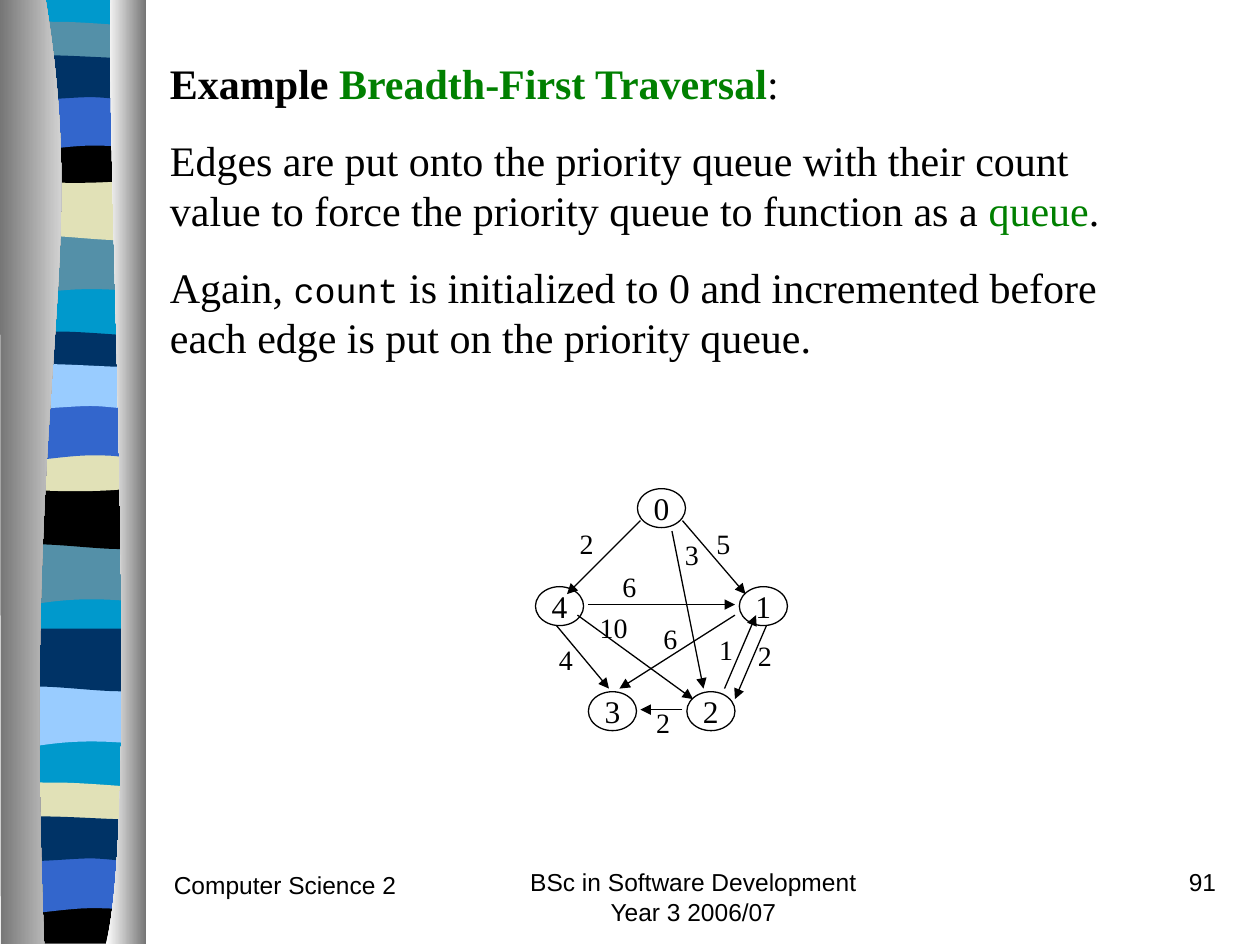
from dataclasses import dataclass
from pptx import Presentation
from pptx.dml.color import RGBColor
from pptx.enum.shapes import MSO_CONNECTOR, MSO_SHAPE
from pptx.enum.text import MSO_ANCHOR, MSO_AUTO_SIZE, PP_ALIGN
from pptx.oxml.ns import qn
from pptx.util import Pt
from lxml.etree import SubElement

BLACK = RGBColor(0x00, 0x00, 0x00)
GREEN = RGBColor(0x00, 0x80, 0x00)
CYAN = RGBColor(0x00, 0x99, 0xCC)
TEAL = RGBColor(0x54, 0x90, 0xA8)
CREAM = RGBColor(0xE1, 0xE1, 0xB7)
BLUE = RGBColor(0x33, 0x66, 0xCC)
NAVY = RGBColor(0x00, 0x33, 0x66)
SKY = RGBColor(0x99, 0xCC, 0xFF)
WHITE = RGBColor(0xFF, 0xFF, 0xFF)
GREY = RGBColor(0x76, 0x76, 0x76)

SERIF, SANS, MONO = "Times New Roman", "Arial", "Courier New"


@dataclass
class Band:
    form: list
    top: float
    color: RGBColor


@dataclass
class Run:
    text: str
    style: dict


@dataclass
class Node:
    name: str
    left: float
    top: float


@dataclass
class Edge:
    start: tuple
    end: tuple
    count: str
    spot: tuple  # left and top of the label


def style(size: float, name: str = SERIF, color: RGBColor = BLACK, bold: bool = False) -> dict:
    return {"size": Pt(size), "name": name, "bold": bold, "color": color}


def draw_form(shapes, form: list, left: float = 0, top: float = 0):
    """Parts of one point are corners, parts of three points are curves."""
    points = [(Pt(left + x), Pt(top + y)) for part in form for x, y in part]
    build = shapes.build_freeform(*points[0], scale=1)
    build.add_line_segments(points[1:], close=True)
    shape = build.convert_to_shape()
    shape.shadow.inherit = False
    shape.line.fill.background()
    lines = iter(list(shape._element.iter(qn("a:lnTo"))))
    for part in form[1:]:
        first = next(lines)
        if len(part) == 3:
            first.tag = qn("a:cubicBezTo")
            for _ in range(2):
                extra = next(lines)
                first.append(extra[0])
                extra.getparent().remove(extra)
    return shape


def draw_band(shapes, band: Band) -> None:
    fill = draw_form(shapes, band.form, 4, band.top).fill
    fill.solid()
    fill.fore_color.rgb = band.color


def draw_tube(shapes, form: list, colors: tuple) -> None:
    fill = draw_form(shapes, form).fill
    fill.gradient()
    fill.gradient_angle = 0
    for stop, color in zip(fill.gradient_stops, colors):
        stop.color.rgb = color


def write(frame, paras: list, align=PP_ALIGN.LEFT, gap: float = 0) -> None:
    for i, runs in enumerate(paras):
        para = frame.add_paragraph() if i else frame.paragraphs[0]
        para.alignment = align
        para.space_before = Pt(gap if i else 0)
        for item in runs:
            run = para.add_run()
            run.text = item.text
            for key, value in item.style.items():
                if key == "color":
                    run.font.color.rgb = value
                else:
                    setattr(run.font, key, value)


def draw_text(shapes, box: tuple, paras: list, align=PP_ALIGN.LEFT, gap: float = 0):
    frame = shapes.add_textbox(*map(Pt, box)).text_frame
    frame.word_wrap = True
    write(frame, paras, align, gap)
    return frame


def draw_node(shapes, node: Node) -> None:
    shape = shapes.add_shape(MSO_SHAPE.OVAL, Pt(node.left), Pt(node.top), Pt(27.5), Pt(22.25))
    shape.shadow.inherit = False
    shape.fill.background()
    shape.line.color.rgb = BLACK
    shape.line.width = Pt(0.75)
    frame = shape.text_frame
    frame.word_wrap = False
    frame.vertical_anchor = MSO_ANCHOR.MIDDLE
    write(frame, [[Run(node.name, style(18))]], PP_ALIGN.CENTER)


def draw_edge(shapes, edge: Edge) -> None:
    line = shapes.add_connector(MSO_CONNECTOR.STRAIGHT, *map(Pt, edge.start + edge.end))
    line.line.color.rgb = BLACK
    line.line.width = Pt(0.75)
    SubElement(line.line._get_or_add_ln(), qn("a:tailEnd"), type="triangle")
    SubElement(line._element.spPr, qn("a:effectLst"))
    wide = 14.25 + 8 * len(edge.count)
    frame = draw_text(shapes, (*edge.spot, wide, 26.5), [[Run(edge.count, style(16))]], PP_ALIGN.CENTER)
    frame.word_wrap = False
    frame.auto_size = MSO_AUTO_SIZE.SHAPE_TO_FIT_TEXT
    frame.vertical_anchor = MSO_ANCHOR.MIDDLE


# Outlines of the bands
FALL = [[(78, 0)], [(78, 34)], [(24, 28), (13, 39.5), (0, 34)], [(0, 0)]]
DIP = [[(78, 0)], [(78, 34)], [(65, 39.5), (24, 30), (0, 34)], [(0, 0)]]
THIN = [[(78, 3.5)], [(78, 21)], [(65, 24), (13, 24), (0, 21)], [(0, 3.5)],
        [(5, 0), (16.5, 0.7), (29.5, 0.7)], [(42.5, 0.7), (68, 3), (78, 3.5)]]
BOWL = [[(78, 0)], [(78, 23.5)], [(65, 27.5), (13, 27.5), (0, 23.5)], [(0, 0)],
        [(47.5, 3.6), (61, 0), (78, 0)]]
BASE = [[(78, 0)], [(78, 26.5)], [(0, 26.5)], [(0, 0)], [(47.5, 3.6), (61, 0), (78, 0)]]
ARCH = [[(78, 0)], [(78, 34)], [(65.5, 30), (60.5, 30), (47.5, 30)],
        [(34.5, 30), (11.5, 34), (0, 34)], [(0, 0)]]
WIDE = [[(78, 3.6)], [(78, 26)], [(73, 29.5), (60.5, 26), (47.5, 26)],
        [(34.5, 26), (8, 29.5), (0, 26)], [(0, 3.6)],
        [(11, 0), (52.5, 3.6), (65.5, 3.6)], [(78.5, 3.6), (75, 3.6), (78, 3.6)]]
BACK = [[(78, 0)], [(78, 538.5)], [(0, 538.5)], [(0, 0)]]

BANDS = [
    Band(BACK, -0.5, CYAN),
    Band(FALL, 133, TEAL), Band(DIP, 101.5, CREAM), Band(THIN, 11.75, TEAL),
    Band(BOWL, 78, BLACK), Band(ARCH, 53.25, BLUE), Band(WIDE, 29.5, NAVY),
    Band(FALL, 310.25, TEAL), Band(DIP, 278, BLACK), Band(THIN, 188.75, NAVY),
    Band(BOWL, 254.25, CREAM), Band(ARCH, 230.25, BLUE), Band(WIDE, 206, SKY),
    Band(FALL, 391.5, SKY), Band(DIP, 359.25, NAVY), Band(THIN, 446.5, CREAM),
    Band(BASE, 512.75, BLACK), Band(ARCH, 489, BLUE), Band(WIDE, 464.5, NAVY),
]
LEFT_TUBE = [[(26, -0.5)], [(52, 155.5), (12.25, 213), (25.25, 539.5)], [(0.5, 539.5)], [(0, -0.5)]]
RIGHT_TUBE = [[(63.25, -0.5)], [(60.5, 90), (80.5, 465), (60.5, 539.5)], [(83.5, 539.5)], [(83.5, 0)]]

NODES = [Node("0", 364.25, 279.25), Node("3", 336.25, 395.25), Node("1", 422.5, 335.25),
         Node("4", 306, 335.25), Node("2", 392.5, 395.25)]
EDGES = [
    Edge((366, 297.5), (324, 339.5), "2", (324, 297.5)),
    Edge((390, 297.5), (426, 339.5), "5", (402.25, 297.5)),
    Edge((336, 345.5), (420, 345.5), "6", (348.5, 321.5)),
    Edge((318, 357.5), (348, 393.5), "4", (312.25, 363.5)),
    Edge((390, 405.5), (366, 405.5), "2", (367.75, 399.5)),
    Edge((438, 357.5), (420, 399.5), "2", (426, 361)),
    Edge((420, 351.5), (354, 393.5), "6", (372, 351.5)),
    Edge((384, 303.5), (402, 393.5), "3", (384.25, 303.5)),
    Edge((330, 351.5), (396, 399.5), "10", (335.5, 345.5)),
    Edge((414, 393.5), (432, 351.5), "1", (403.75, 357.5)),
]

PLAIN, LIVE, FOOT = style(24), style(24, color=GREEN), style(14, SANS)
BODY = [
    [Run("Example ", style(24, bold=True)),
     Run("Breadth-First Traversal", style(24, color=GREEN, bold=True)), Run(":", PLAIN)],
    [Run("Edges are put onto the priority queue with their count value to force "
         "the priority queue to function as a ", PLAIN), Run("queue", LIVE), Run(".", PLAIN)],
    [Run("Again, ", PLAIN), Run("count", style(20, MONO)),
     Run(" is initialized to 0 and incremented before each edge is put on the priority queue.", PLAIN)],
]


def draw_foot(shapes) -> None:
    draw_text(shapes, (92.25, 493.5, 150, 36), [[Run("Computer Science 2", FOOT)]])
    course = draw_text(shapes, (282.25, 492, 228, 36),
                       [[Run("BSc in Software Development Year 3 2006/07", FOOT)]], PP_ALIGN.CENTER)
    # The first line hangs to the left of the second
    course.margin_left = course.margin_right = Pt(17)
    course.paragraphs[0]._p.get_or_add_pPr().set("indent", str(Pt(-20.5)))
    draw_text(shapes, (552, 492, 150, 36), [[Run("91", FOOT)]], PP_ALIGN.RIGHT)


def main() -> None:
    deck = Presentation()
    deck.slide_width, deck.slide_height = Pt(720), Pt(540)
    shapes = deck.slides.add_slide(deck.slide_layouts[6]).shapes

    # Striped side strip
    for band in BANDS:
        draw_band(shapes, band)
    draw_tube(shapes, LEFT_TUBE, (GREY, WHITE))
    draw_tube(shapes, RIGHT_TUBE, (WHITE, GREY))

    # Footer and body text
    draw_foot(shapes)
    draw_text(shapes, (90, 29.5, 558, 181.5), BODY, gap=15)

    # Weighted graph
    for node in NODES:
        draw_node(shapes, node)
    for edge in EDGES:
        draw_edge(shapes, edge)

    deck.save("out.pptx")


if __name__ == "__main__":
    main()
